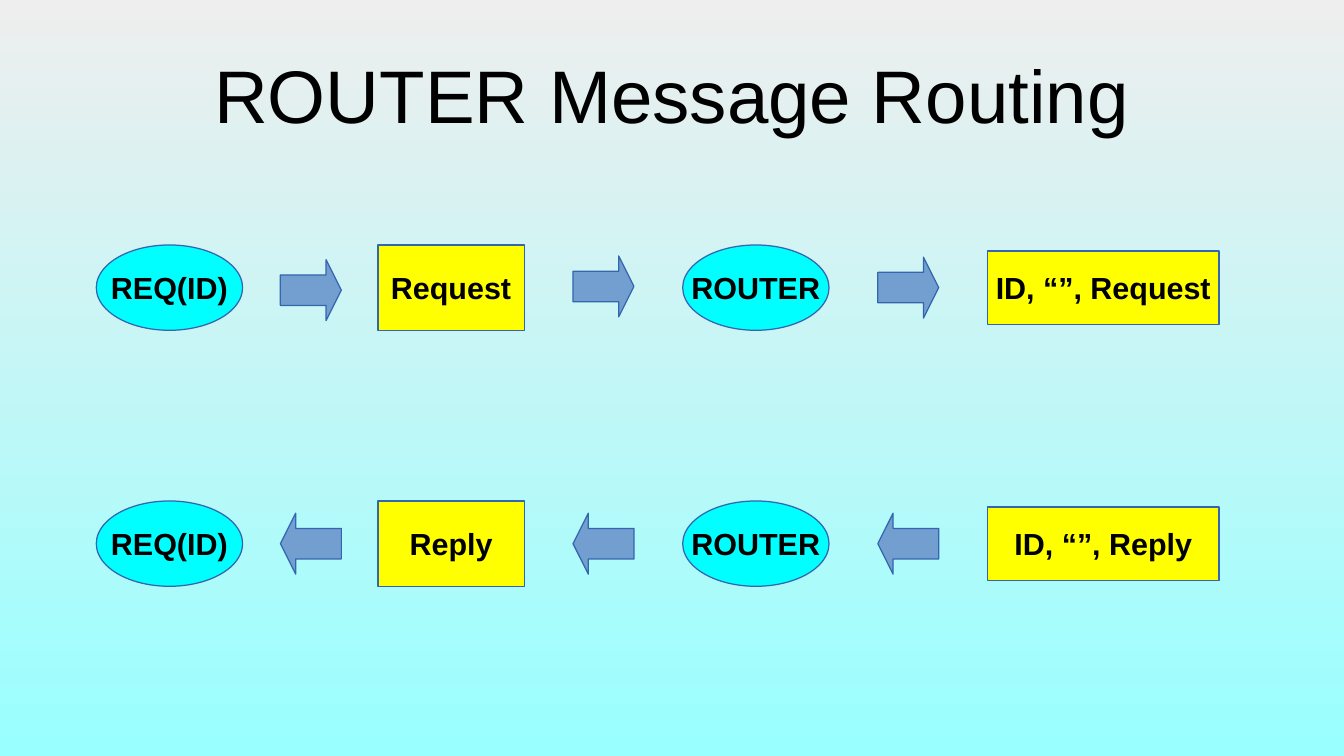
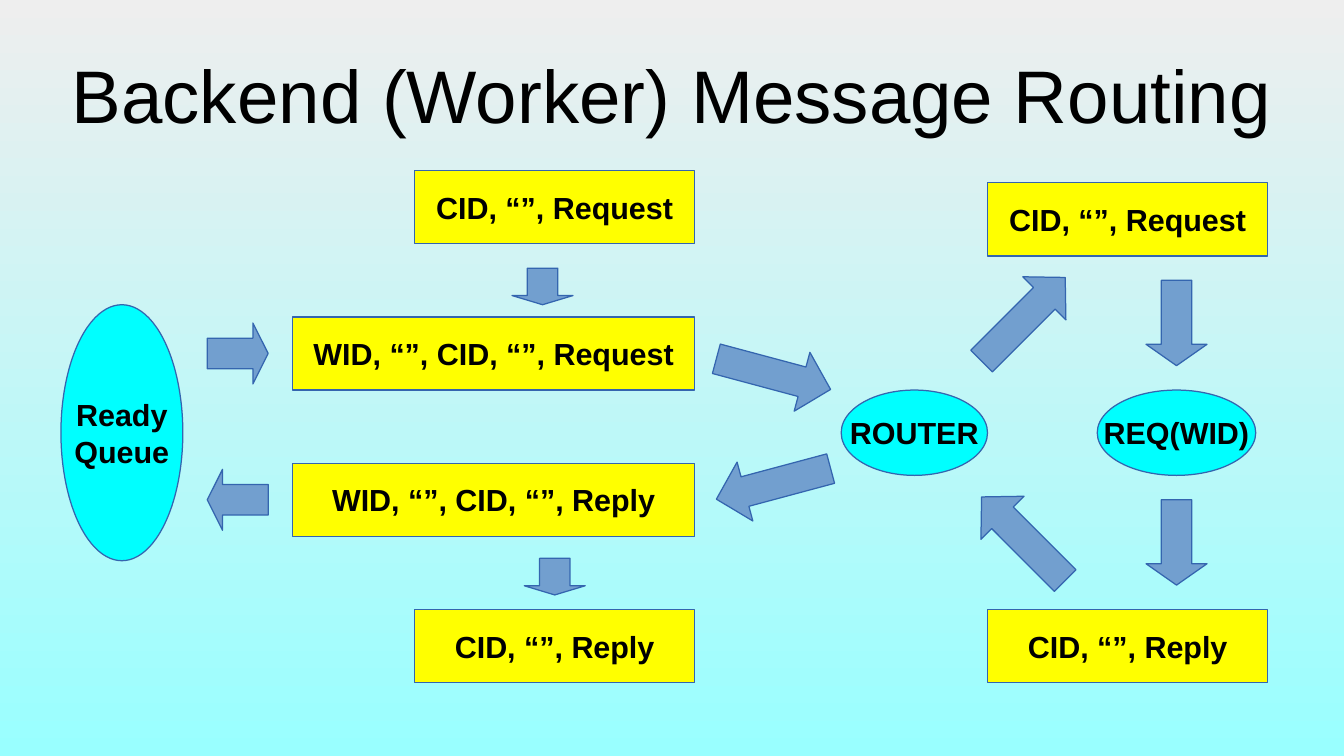
from pptx import Presentation
from pptx.dml.color import RGBColor
from pptx.enum.shapes import MSO_SHAPE
from pptx.enum.text import MSO_ANCHOR, MSO_AUTO_SIZE, PP_ALIGN
from pptx.util import Pt

COLORS = {
    "sky_top": "EEEEEE",
    "sky_bottom": "99FFFF",
    "message": "FFFF00",
    "socket": "00FFFF",
    "arrow": "729FCF",
    "outline": "3465AF",
    "text": "000000",
}
FONT = "Arial"
BOX_HEIGHT = 43.2
SOCKET_WIDTH, SOCKET_HEIGHT = 86.4, 50.4
ARROW_WIDTH = 36
LONG_ARROW = 69.84


def color(name):
    return RGBColor.from_string(COLORS[name])


def write_text(frame, text, size=18, bold=True, margins=(7.2, 3.6), wrap=False):
    """Fill a text frame with centred text, one paragraph per line."""
    frame.text = text
    frame.auto_size = MSO_AUTO_SIZE.NONE
    frame.word_wrap = wrap
    frame.vertical_anchor = MSO_ANCHOR.MIDDLE
    frame.margin_left = frame.margin_right = Pt(margins[0])
    frame.margin_top = frame.margin_bottom = Pt(margins[1])
    for para in frame.paragraphs:
        para.alignment = PP_ALIGN.CENTER
        for span in para.runs:
            span.font.name = FONT
            span.font.size = Pt(size)
            span.font.bold = bold
            span.font.color.rgb = color("text")


class RoutingDeck:
    """Holds the shared style and the current page; shapes go by their centre."""

    def __init__(self):
        self.deck = Presentation()
        self.deck.slide_width, self.deck.slide_height = Pt(793.7), Pt(446.5)
        self.page = None
        # Background shared by all pages
        sky = self.deck.slide_master.background.fill
        sky.gradient()
        sky.gradient_angle = 270
        for stop, name, position in zip(sky.gradient_stops, ("sky_top", "sky_bottom"), (0, 1)):
            stop.color.rgb = color(name)
            stop.position = position

    def add_page(self, title):
        self.page = self.deck.slides.add_slide(self.deck.slide_layouts[5])
        box = self.page.shapes.title
        box.left, box.top, box.width, box.height = Pt(39.7), Pt(17.8), Pt(714.3), Pt(74.6)
        write_text(box.text_frame, title, size=44, bold=False, margins=(0, 0), wrap=True)

    def shape(self, kind, fill, x, y, width, height):
        shape = self.page.shapes.add_shape(
            kind, Pt(x - width / 2), Pt(y - height / 2), Pt(width), Pt(height))
        shape.shadow.inherit = False
        shape.fill.solid()
        shape.fill.fore_color.rgb = color(fill)
        shape.line.color.rgb = color("outline")
        shape.line.width = Pt(0)
        return shape

    def message(self, text, x, y, width, height=BOX_HEIGHT):
        box = self.shape(MSO_SHAPE.RECTANGLE, "message", x, y, width, height)
        write_text(box.text_frame, text)

    def socket(self, text, x, y, width=SOCKET_WIDTH, height=SOCKET_HEIGHT):
        oval = self.shape(MSO_SHAPE.OVAL, "socket", x, y, width, height)
        write_text(oval.text_frame, text)

    def arrow(self, x, y, length=36, angle=0):
        arrow = self.shape(MSO_SHAPE.RIGHT_ARROW, "arrow", x, y, length, ARROW_WIDTH)
        # The head takes a quarter of the length
        arrow.adjustments[0] = 0.5
        arrow.adjustments[1] = 0.25 * length / min(length, ARROW_WIDTH)
        arrow.rotation = angle


def router_page(deck):
    deck.add_page("ROUTER Message Routing")
    # One row per direction: requests go right, replies go left
    rows = (
        ("Request", 169.9, 0, (171.4, 169.2, 169.9)),
        ("Reply", 321.1, 180, (321.1, 321.1, 321.1)),
    )
    for word, y, angle, arrow_heights in rows:
        deck.socket("REQ(ID)", 100.1, y)
        deck.message(word, 266.4, y, SOCKET_WIDTH, SOCKET_HEIGHT)
        deck.socket("ROUTER", 446.4, y)
        deck.message(f"ID, “”, {word}", 651.6, y, 136.8)
        for x, arrow_y in zip((183.6, 356.4, 536.4), arrow_heights):
            deck.arrow(x, arrow_y, angle=angle)


def backend_page(deck):
    deck.add_page("Backend (Worker) Message Routing")
    middle = 255.6
    # Queue and sockets
    deck.socket("Ready\nQueue", 72, middle, 72, 151.2)
    deck.socket("ROUTER", 540, middle)
    deck.socket("REQ(WID)", 694.8, middle, 93.6)
    # Messages: client side, worker envelope, worker side
    for word, client_y, envelope_y, worker_y in (
            ("Request", 122.4, 208.8, 129.6), ("Reply", 381.6, 295.2, 381.6)):
        deck.message(f"CID, “”, {word}", 327.6, client_y, 165.6)
        deck.message(f"WID, “”, CID, “”, {word}", 291.6, envelope_y, 237.6)
        deck.message(f"CID, “”, {word}", 666, worker_y, 165.6)
    # Arrows: x, y, length, angle
    for x, y, length, angle in (
            (140.4, 208.8, 36, 0),
            (140.4, 295.2, 36, 180),
            (320.4, 169.2, 21.6, 90),
            (327.6, 340.6, 21.6, 90),
            (694.8, 190.8, 50.4, 90),
            (694.8, 320.4, 50.4, 90),
            (456.8, 221, LONG_ARROW, 15),
            (456.8, 285.8, LONG_ARROW, 165),
            (604.4, 188.6, LONG_ARROW, 315),
            (604.4, 318.2, LONG_ARROW, 225)):
        deck.arrow(x, y, length, angle)


def main():
    routing = RoutingDeck()
    router_page(routing)
    backend_page(routing)
    routing.deck.save("out.pptx")


if __name__ == "__main__":
    main()
